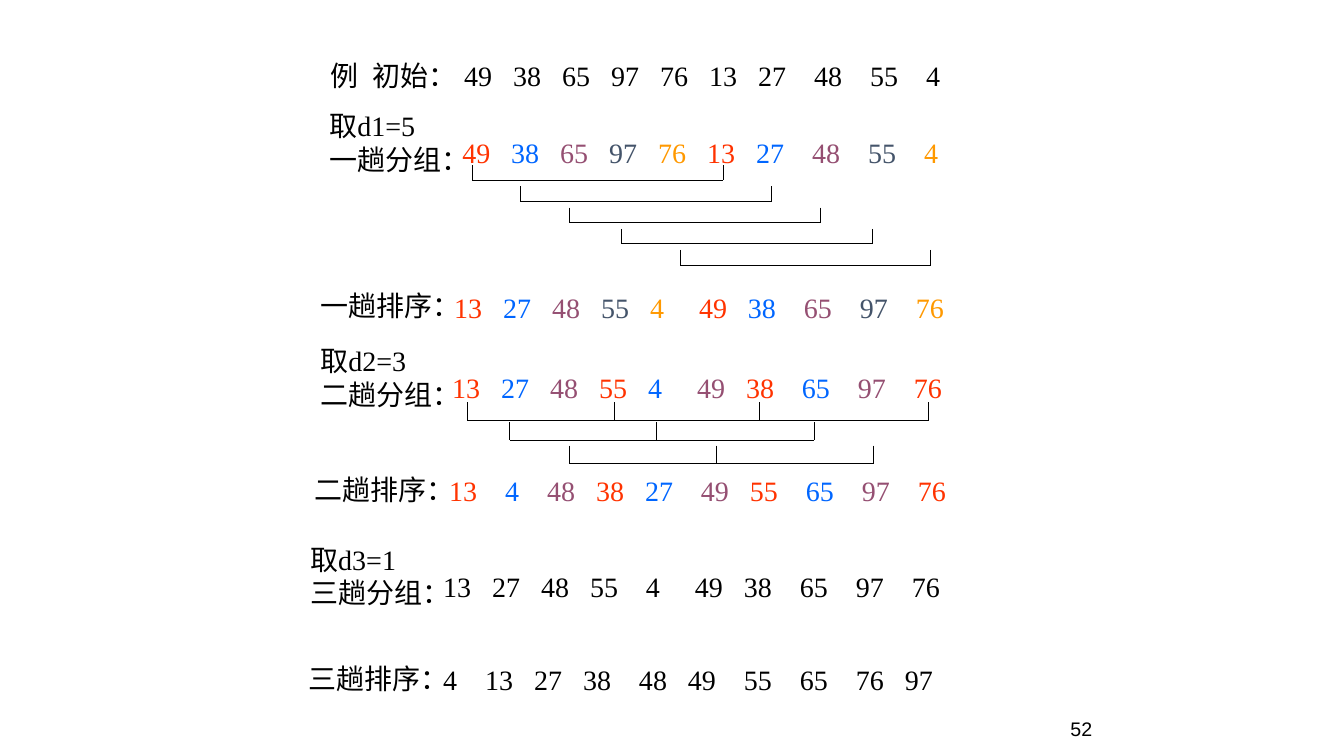
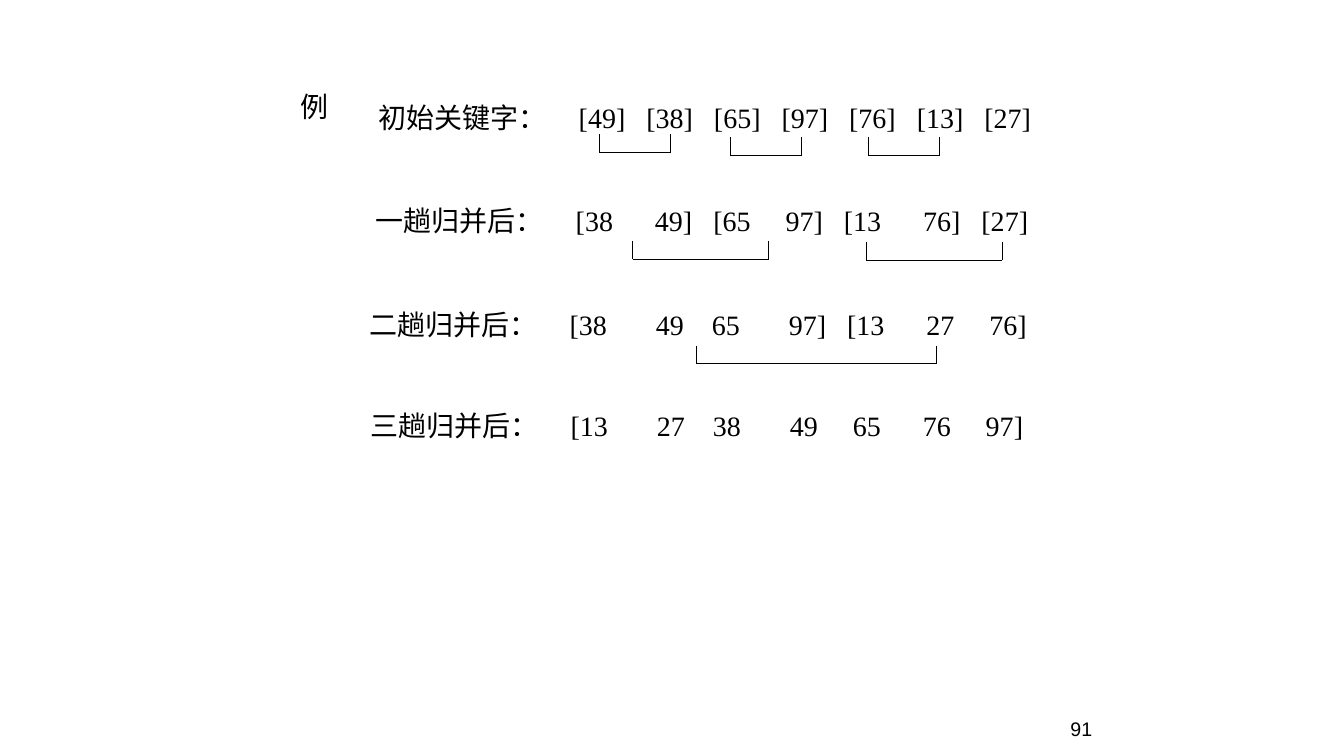
from itertools import accumulate, cycle

from lxml.etree import SubElement
from pptx import Presentation
from pptx.dml.color import RGBColor
from pptx.enum.shapes import MSO_CONNECTOR
from pptx.enum.text import MSO_ANCHOR, PP_ALIGN
from pptx.oxml.ns import qn
from pptx.util import Inches, Pt

COLOURS = {"ink": "000000", "red": "FF3300", "blue": "0066FF",
           "plum": "954F72", "slate": "44546A", "amber": "FF9900"}
BLACK = ["ink"]
FIVE_GROUPS = ["red", "blue", "plum", "slate", "amber"]
THREE_GROUPS = ["red", "blue", "plum"]

BODY_FONT = {"name": "Times New Roman", "size": Pt(20)}
PAGE_FONT = {"name": "Arial", "size": Pt(14)}
PLAIN_FRAME = {"word_wrap": False}
TABBED_FRAME = {"word_wrap": True, "margin_right": 0}
PAGE_FRAME = {"word_wrap": True, "vertical_anchor": MSO_ANCHOR.BOTTOM}

ROW_HEIGHT = 0.44
PAIR_HEIGHT = 0.77
LABEL_WIDTH = 1.59


def apply(target, values):
    for attribute, value in values.items():
        setattr(target, attribute, value)


def key_width(key):
    """Width in points of a key set in 20 pt Times New Roman."""
    return sum(6.66 if sign in "[]" else 10 for sign in key)


class Deck:
    def __init__(self):
        self.prs = Presentation()
        self.prs.slide_width = Inches(13.34)
        self.prs.slide_height = Inches(7.5)
        self.slide = None

    def new_slide(self, page):
        self.slide = self.prs.slides.add_slide(self.prs.slide_layouts[6])
        paragraph = self.frame(8.86, 6.9, 2.08, 0.5, PAGE_FRAME).paragraphs[0]
        paragraph.alignment = PP_ALIGN.RIGHT
        self.run(paragraph, page, style=PAGE_FONT)

    def frame(self, left, top, width, height, style):
        box = self.slide.shapes.add_textbox(
            Inches(left), Inches(top), Inches(width), Inches(height))
        apply(box.text_frame, style)
        return box.text_frame

    def run(self, paragraph, text, colour="ink", style=BODY_FONT):
        run = paragraph.add_run()
        run.text = text
        apply(run.font, style)
        run.font.color.rgb = RGBColor.from_string(COLOURS[colour])

    def tab_stops(self, paragraph, points):
        tabs = SubElement(paragraph._p.get_or_add_pPr(), qn("a:tabLst"))
        for point in points:
            SubElement(tabs, qn("a:tab"), pos=str(int(Pt(point))), algn="l")

    def label(self, left, top, *lines, width=LABEL_WIDTH):
        height = PAIR_HEIGHT if len(lines) > 1 else ROW_HEIGHT
        frame = self.frame(left, top, width, height, PLAIN_FRAME)
        for index, line in enumerate(lines):
            paragraph = frame.add_paragraph() if index else frame.paragraphs[0]
            self.run(paragraph, line)

    def keys(self, left, top, width, keys, gaps, colours=BLACK, lead=None, lead_width=0):
        """Keys on tab stops; gaps count 5 pt steps between neighbours."""
        keys = keys.split()
        paragraph = self.frame(left, top, width, ROW_HEIGHT, TABBED_FRAME).paragraphs[0]
        steps = [key_width(key) + 5 * int(gap) for key, gap in zip(keys, gaps)]
        starts = list(accumulate(steps, initial=lead_width))
        self.tab_stops(paragraph, starts if lead else starts[1:])
        if lead:
            self.run(paragraph, lead)
        for index, (key, colour) in enumerate(zip(keys, cycle(colours))):
            self.run(paragraph, f"\t{key}" if index or lead else key, colour)

    def line(self, x1, y1, x2, y2):
        line = self.slide.shapes.add_connector(
            MSO_CONNECTOR.STRAIGHT, Inches(x1), Inches(y1), Inches(x2), Inches(y2))
        line.line.width = Pt(0.75)
        line.line.color.rgb = RGBColor.from_string(COLOURS["ink"])
        SubElement(line._element.spPr, qn("a:effectLst"))

    def bracket(self, top, *members, depth=0.18):
        """One base line with an upright for each grouped key."""
        base = top + depth
        self.line(members[0], base, members[-1], base)
        for member in members:
            self.line(member, top, member, base)


def shell_sort(deck):
    deck.new_slide("52")

    # Initial keys
    deck.keys(3.18, 0.53, 1.44, "初始：", "", lead="例", lead_width=30)
    deck.keys(4.51, 0.53, 4.93, "49 38 65 97 76 13 27 48 55 4", "333333444")

    # First pass, step 5
    deck.label(3.17, 1.03, "取d1=5", "一趟分组：")
    deck.keys(4.49, 1.3, 4.93, "49 38 65 97 76 13 27 48 55 4", "333333444", FIVE_GROUPS)
    for index, left in enumerate([4.69, 5.17, 5.65, 6.17, 6.75]):
        deck.bracket(1.64 + 0.21 * index, left, left + 2.49, depth=0.15)
    deck.label(3.08, 2.81, "一趟排序：")
    deck.keys(4.41, 2.83, 5.07, "13 27 48 55 4 49 38 65 97 76", "333353444", FIVE_GROUPS)

    # Second pass, step 3
    deck.label(3.08, 3.36, "取d2=3", "二趟分组：")
    deck.keys(4.39, 3.63, 5.07, "13 27 48 55 4 49 38 65 97 76", "333353444", THREE_GROUPS)
    deck.bracket(3.99, 4.64, 6.1, 7.54, 9.22)
    deck.bracket(4.19, 5.06, 6.52, 8.08)
    deck.bracket(4.42, 5.65, 7.11, 8.67)
    deck.label(3.02, 4.64, "二趟排序：")
    deck.keys(4.36, 4.65, 5.14, "13 4 48 38 27 49 55 65 97 76", "443343444", THREE_GROUPS)

    # Third pass, step 1
    deck.label(2.98, 5.33, "取d3=1", "三趟分组：")
    deck.keys(4.3, 5.6, 5.14, "13 27 48 55 4 49 38 65 97 76", "333453444")
    deck.label(2.96, 6.51, "三趟排序：")
    deck.keys(4.3, 6.52, 5.07, "4 13 27 38 48 49 55 65 76 97", "433434443")


def merge_sort(deck):
    deck.new_slide("91")
    deck.label(2.88, 0.84, "例", width=0.48)

    # Keys after each merge
    passes = [
        (3.66, 0.95, "初始关键字：", "[49] [38] [65] [97] [76] [13] [27]", "333333"),
        (3.63, 1.97, "一趟归并后：", "[38 49] [65 97] [13 76] [27]", "635363"),
        (3.57, 3, "二趟归并后：", "[38 49 65 97] [13 27 76]", "747365"),
        (3.58, 4, "三趟归并后：", "[13 27 38 49 65 76 97]", "747565"),
    ]
    for left, top, lead, keys, gaps in passes:
        deck.keys(left, top, 6.7, keys, gaps, lead=lead, lead_width=143)

    # Pairs merged next
    for top, left, right in [(1.33, 5.95, 6.66), (1.36, 7.25, 7.96), (1.36, 8.62, 9.33),
                             (2.39, 6.28, 7.63), (2.4, 8.6, 9.95), (3.43, 6.91, 9.3)]:
        deck.bracket(top, left, right)


def main():
    deck = Deck()
    shell_sort(deck)
    merge_sort(deck)
    deck.prs.save("out.pptx")


if __name__ == "__main__":
    main()
